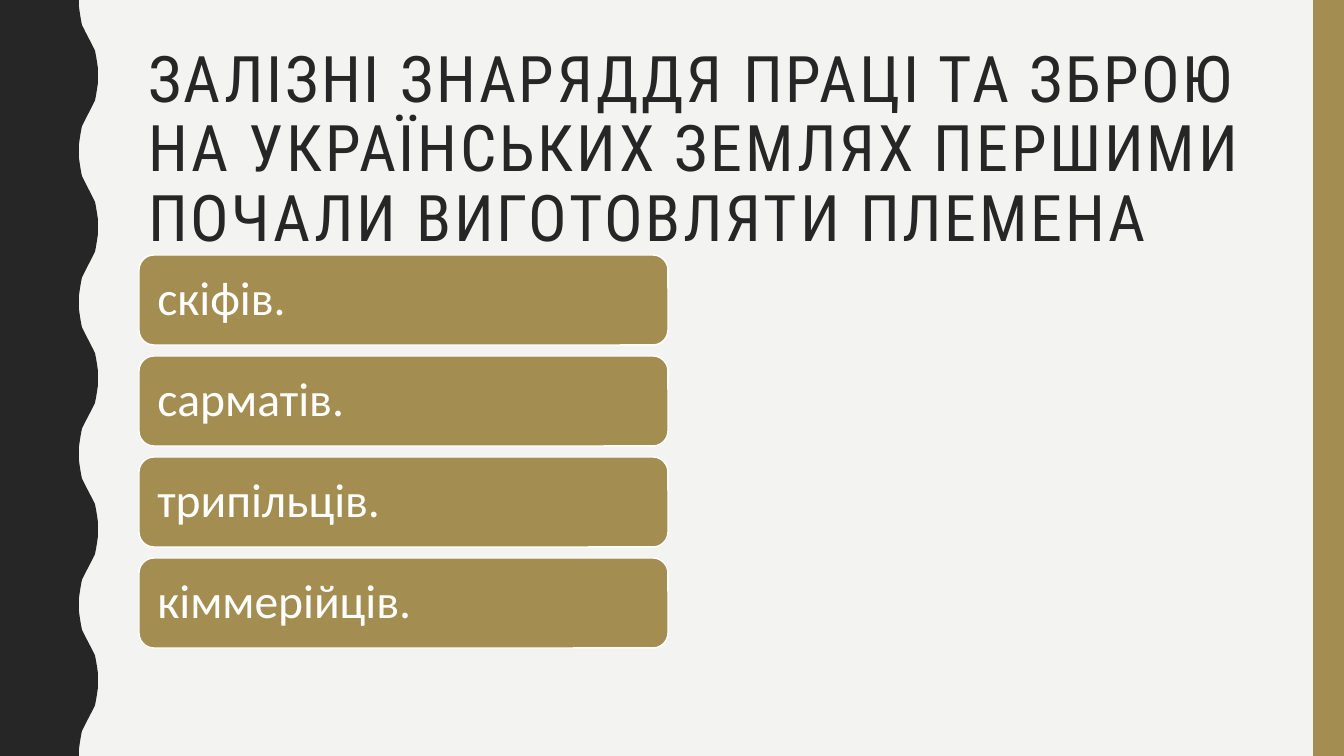
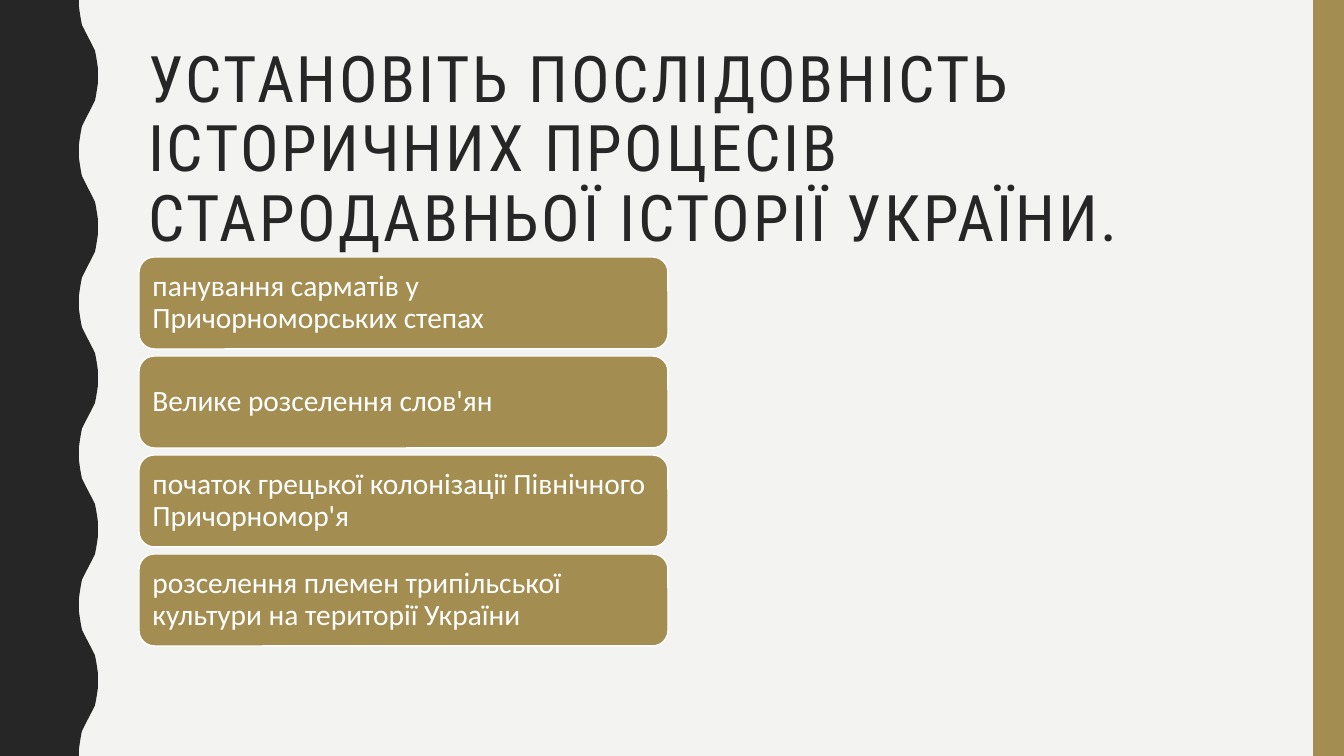
from dataclasses import dataclass
from typing import Any

from pptx import Presentation
from pptx.dml.color import RGBColor
from pptx.enum.shapes import MSO_SHAPE
from pptx.enum.text import MSO_ANCHOR, MSO_AUTO_SIZE, PP_ALIGN
from pptx.util import Emu, Pt

PAGE_WIDTH, PAGE_HEIGHT = 1344, 756
SCALE = 12192000 / PAGE_WIDTH

PAPER = RGBColor(0xF3, 0xF3, 0xF2)
INK = RGBColor(0x26, 0x26, 0x26)
GOLD = RGBColor(0xA3, 0x8D, 0x51)
WHITE = RGBColor(0xFF, 0xFF, 0xFF)

WAVE_LEFT, WAVE_RIGHT, HALF_WAVES = 79, 98, 10
WAVE_CURVE = [(0, 0), (0, 7), (1, 14), (2, 20), (3, 25), (5, 29), (7, 33)]

CARD_LEFT, CARD_WIDTH = 139, 529
TITLE_FONT = {"name": "Roboto Condensed", "size": Pt(45.9), "bold": False}
TITLE_FRAME = {
    "word_wrap": True,
    "auto_size": MSO_AUTO_SIZE.NONE,
    "vertical_anchor": MSO_ANCHOR.TOP,
}
PARAGRAPH_FORMAT = {"alignment": PP_ALIGN.LEFT, "line_spacing": 0.9}


@dataclass(frozen=True)
class CardStyle:
    top: int
    pitch: int
    height: int
    inset: int
    size: int


@dataclass(frozen=True)
class Question:
    title: str
    answers: list[str]
    style: CardStyle


QUESTIONS = [
    Question(
        "ЗАЛІЗНІ ЗНАРЯДДЯ ПРАЦІ ТА ЗБРОЮ НА УКРАЇНСЬКИХ ЗЕМЛЯХ "
        "ПЕРШИМИ ПОЧАЛИ ВИГОТОВЛЯТИ ПЛЕМЕНА",
        ["скіфів.", "сарматів.", "трипільців.", "кіммерійців."],
        CardStyle(top=255, pitch=101, height=90, inset=14, size=34),
    ),
    Question(
        "УСТАНОВІТЬ ПОСЛІДОВНІСТЬ ІСТОРИЧНИХ ПРОЦЕСІВ "
        "СТАРОДАВНЬОЇ ІСТОРІЇ УКРАЇНИ.",
        [
            "панування сарматів у Причорноморських степах",
            "Велике розселення слов'ян",
            "початок грецької колонізації Північного Причорномор'я",
            "розселення племен трипільської культури на території України",
        ],
        CardStyle(top=257, pitch=99, height=92, inset=9, size=21),
    ),
]


def px(length: float) -> Emu:
    return Emu(round(length * SCALE))


def apply(target: Any, values: dict[str, Any]) -> None:
    for name, value in values.items():
        setattr(target, name, value)


def paint(shape: Any, colour: RGBColor) -> None:
    shape.shadow.inherit = False
    shape.fill.solid()
    shape.fill.fore_color.rgb = colour
    shape.line.fill.background()


def wave_points() -> list[tuple[Emu, Emu]]:
    depth = WAVE_RIGHT - WAVE_LEFT
    half = PAGE_HEIGHT / HALF_WAVES
    curve = WAVE_CURVE + [(depth - x, half - y) for x, y in reversed(WAVE_CURVE)]
    points = []
    for index in range(HALF_WAVES):
        for x, y in curve:
            across = WAVE_LEFT + x if index % 2 == 0 else WAVE_RIGHT - x
            points.append((px(across), px(index * half + y)))
    return points


def dress_layout(deck: Any, layout: Any, page: Any) -> None:
    background = deck.slide_master.background.fill
    background.solid()
    background.fore_color.rgb = PAPER
    builder = page.shapes.build_freeform(0, 0)
    builder.add_line_segments(wave_points() + [(0, px(PAGE_HEIGHT))], close=True)
    wave = builder.convert_to_shape()
    band = page.shapes.add_shape(
        MSO_SHAPE.RECTANGLE, px(1313), px(0), px(31), px(PAGE_HEIGHT)
    )
    for shape, colour in ((wave, INK), (band, GOLD)):
        paint(shape, colour)
        layout.shapes._spTree.append(shape._element)
    apply(
        layout.placeholders[0],
        {"left": px(138), "top": px(42), "width": px(1122), "height": px(164)},
    )


def write(frame: Any, text: str, font: dict[str, Any], colour: RGBColor) -> Any:
    para = frame.paragraphs[0]
    apply(para, PARAGRAPH_FORMAT)
    span = para.add_run()
    span.text = text
    apply(span.font, font)
    span.font.color.rgb = colour
    return span


def draw_title(page: Any, text: str) -> None:
    frame = page.shapes.title.text_frame
    apply(frame, TITLE_FRAME)
    span = write(frame, text, TITLE_FONT, INK)
    span.font._element.set("spc", "200")


def draw_card(page: Any, text: str, top: int, style: CardStyle) -> None:
    card = page.shapes.add_shape(
        MSO_SHAPE.ROUNDED_RECTANGLE,
        px(CARD_LEFT), px(top), px(CARD_WIDTH), px(style.height),
    )
    paint(card, GOLD)
    card.line.color.rgb = WHITE
    card.line.width = Pt(1)
    sides = ("left", "top", "right", "bottom")
    margins = {f"margin_{side}": px(style.inset) for side in sides}
    frame = card.text_frame
    apply(frame, {"word_wrap": True, "vertical_anchor": MSO_ANCHOR.MIDDLE, **margins})
    write(frame, text, {"name": "Calibri", "size": Pt(style.size)}, WHITE)


def main() -> None:
    deck = Presentation()
    apply(deck, {"slide_width": px(PAGE_WIDTH), "slide_height": px(PAGE_HEIGHT)})
    layout = deck.slide_layouts.get_by_name("Title Only")
    pages = [deck.slides.add_slide(layout) for _ in QUESTIONS]
    dress_layout(deck, layout, pages[0])
    for page, question in zip(pages, QUESTIONS):
        draw_title(page, question.title)
        style = question.style
        for index, answer in enumerate(question.answers):
            draw_card(page, answer, style.top + index * style.pitch, style)
    deck.save("out.pptx")


if __name__ == "__main__":
    main()
